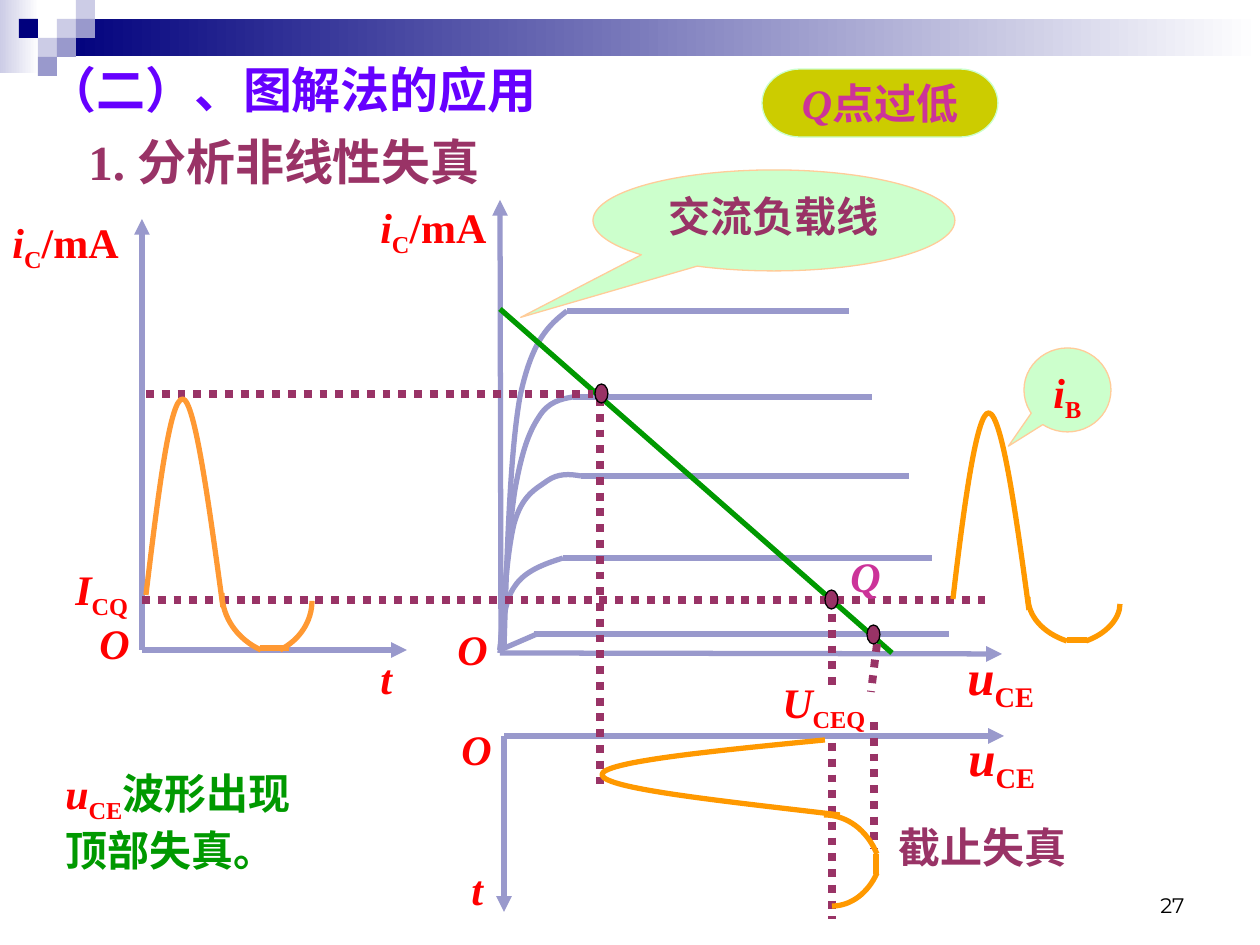
from lxml import etree
from pptx import Presentation
from pptx import util as u
from pptx.dml.color import RGBColor
from pptx.enum import dml, shapes, text
from pptx.oxml import ns

SCALE = 914400 / 126  # EMU in one px
SERIF = "Times New Roman"
WHITE = RGBColor(255, 255, 255)
BLACK = RGBColor(0, 0, 0)
NAVY = RGBColor(0, 0, 0x7D)
BLUE = RGBColor(0x99, 0x99, 0xCC)
PALE = RGBColor(0xCC, 0xCC, 0xE6)
VIOLET = RGBColor(0x66, 0, 0xFF)
PLUM = RGBColor(0x99, 0x33, 0x66)
PINK = RGBColor(0xCC, 0x33, 0x99)
RED = RGBColor(255, 0, 0)
GREEN = RGBColor(0, 0x99, 0)
MINT = RGBColor(0xCC, 0xFF, 0xCC)
PEACH = RGBColor(0xFF, 0xCC, 0x99)
OLIVE = RGBColor(0xCC, 0xCC, 0)
AMBER = RGBColor(0xFF, 0x99, 0)
ORANGE = RGBColor(0xFF, 0x99, 0x33)
KIND = shapes.MSO_SHAPE


def px(*vals):
    return [round(v * SCALE) for v in vals]


def block(slide, kind, box, fill, edge=None):
    """Add a preset shape; a pair of colours as fill makes a gradient."""
    shape = slide.shapes.add_shape(kind, *px(*box))
    shape.shadow.inherit = False
    if isinstance(fill, list):
        shape.fill.gradient()
        shape.fill.gradient_angle = 0
        for stop, color in zip(shape.fill.gradient_stops, fill):
            stop.color.rgb = color
    else:
        shape.fill.solid()
        shape.fill.fore_color.rgb = fill
    if edge is None:
        shape.line.fill.background()
    else:
        shape.line.color.rgb = edge
        shape.line.width = u.Pt(0.75)
    return shape


def line(slide, start, end, color=BLUE, arrow=False, dots=False):
    link = slide.shapes.add_connector(
        shapes.MSO_CONNECTOR.STRAIGHT, *px(*start, *end))
    link.line.color.rgb = color
    link.line.width = u.Pt(4.5 if dots else 3)
    if dots:
        link.line.dash_style = dml.MSO_LINE.ROUND_DOT
    if arrow:
        etree.SubElement(link.line._get_or_add_ln(), ns.qn("a:tailEnd"),
                         type="triangle")
    etree.SubElement(link._element.spPr, ns.qn("a:effectLst"))


def curve(slide, points, color=BLUE):
    """Draw cubic curves: a start, then three points for each segment."""
    pen = slide.shapes.build_freeform(*points[0], scale=SCALE)
    pen.add_line_segments(points[1:], close=False)
    shape = pen.convert_to_shape()
    shape.shadow.inherit = False
    shape.fill.background()
    shape.line.color.rgb = color
    shape.line.width = u.Pt(3)
    steps = shape._element.xpath(".//a:lnTo")
    track = steps[0].getparent()
    for i in range(0, len(steps), 3):
        arc = etree.SubElement(track, ns.qn("a:cubicBezTo"))
        for step in steps[i:i + 3]:
            arc.append(step[0])
            track.remove(step)


def write(shape, var="", sub="", rest="", color=RED, size=24, tail=None,
          align=text.PP_ALIGN.LEFT, anchor=text.MSO_ANCHOR.TOP, wrap=True,
          face=SERIF, bold=True):
    """Write an italic symbol, its subscript and the upright text after it."""
    frame = shape.text_frame
    frame.word_wrap = wrap
    frame.vertical_anchor = anchor
    par = frame.paragraphs[0]
    par.alignment = align
    par.font.name, par.font.size, par.font.bold = face, u.Pt(size), bold
    par.font.color.rgb = color
    if var:
        run = par.add_run()
        run.text = var
        run.font.italic = True
    if sub:
        run = par.add_run()
        run.text = sub
        run.font._element.set("baseline", "-25000")
    for i, row in enumerate(rest.split("\n") if rest else []):
        if i:
            par.add_line_break()
        run = par.add_run()
        run.text = row
        if tail is not None:
            run.font.color.rgb = tail


def label(slide, box, *words, **style):
    write(slide.shapes.add_textbox(*px(*box)), *words, **style)


def banner(slide):
    block(slide, KIND.RECTANGLE, (0, 0, 39, 73), [PALE, WHITE])
    block(slide, KIND.RECTANGLE, (57, 19, 1203, 37), [NAVY, WHITE])
    tiles = [(3, 1, PALE), (4, 0, PALE), (4, 1, BLUE), (2, 2, PALE),
             (1, 1, NAVY), (3, 2, BLUE), (2, 3, BLUE)]
    for col, row, color in tiles:
        block(slide, KIND.RECTANGLE, (19 * col, 19 * row, 19, 19), color)


def family(slide):
    """Draw the output curves of the transistor."""
    bends = [
        [(500, 650), (503, 626), (504, 601), (515, 586),
         (525, 571), (544, 564), (563, 558)],
        [(500, 653), (504, 602), (507, 553), (514, 524), (522, 495),
         (536, 489), (547, 481), (558, 473), (570, 474), (581, 476)],
        [(500, 650), (505, 590), (509, 529), (515, 490), (522, 451),
         (529, 432), (539, 417), (548, 402), (561, 399), (573, 397)],
        [(504, 650), (507, 552), (510, 454), (520, 397),
         (532, 340), (549, 325), (567, 311)],
    ]
    for points, end in zip(bends, (932, 909, 872, 849)):
        curve(slide, points)
        line(slide, points[-1], (end, points[-1][1]))
    line(slide, (500, 650), (537, 634))
    line(slide, (534, 634), (949, 634))


def wave(slide, color, crest, fall, rise, flat):
    """Draw a sine wave whose lower half is cut flat."""
    for points in (crest, fall, rise):
        curve(slide, points, color)
    line(slide, *flat, color)


def axes(slide):
    for start, end in [((500, 653), (1002, 654)), ((501, 653), (500, 200)),
                       ((142, 650), (407, 650)), ((142, 650), (142, 219)),
                       ((504, 736), (1004, 736)), ((504, 736), (504, 912))]:
        line(slide, start, end, arrow=True)
    for x, y in [(368, 195), (0, 210)]:
        label(slide, (x, y, 152, 71), "i", "C", "/mA")
    for x, y in [(445, 617), (87, 611), (449, 717)]:
        label(slide, (x, y, 69, 63), "O")
    for x, y in [(368, 646), (459, 857)]:
        label(slide, (x, y, 57, 63), "t")
    for x, y in [(955, 640), (956, 721)]:
        label(slide, (x, y, 110, 79), "u", "CE", size=28)


def main():
    deck = Presentation()
    deck.slide_width, deck.slide_height = px(1260, 945)
    slide = deck.slides.add_slide(deck.slide_layouts[6])
    banner(slide)
    label(slide, (903, 861, 294, 63), rest="27", color=BLACK, size=12,
          align=text.PP_ALIGN.RIGHT, anchor=text.MSO_ANCHOR.BOTTOM,
          face="Montserrat", bold=False)
    label(slide, (35, 53, 667, 72), rest="（二）、图解法的应用",
          color=VIOLET, size=28)
    label(slide, (76, 125, 567, 72), rest="1. 分析非线性失真",
          color=PLUM, size=28)
    badge = block(slide, KIND.FLOWCHART_TERMINATOR, (762, 69, 236, 68),
                  OLIVE, MINT)
    write(badge, "Q", rest="点过低", color=PINK, wrap=False,
          align=text.PP_ALIGN.CENTER, anchor=text.MSO_ANCHOR.MIDDLE)

    family(slide)
    axes(slide)
    line(slide, (500, 309), (892, 653), GREEN)
    for start, end in [((142, 600), (985, 600)), ((146, 394), (593, 394)),
                       ((600, 398), (600, 790)), ((832, 614), (832, 689)),
                       ((832, 743), (832, 919)), ((877, 644), (871, 692)),
                       ((874, 722), (874, 849))]:
        line(slide, start, end, PLUM, dots=True)
    for x, y in [(595, 384), (825, 590), (867, 625)]:
        block(slide, KIND.OVAL, (x, y, 13, 19), PLUM, BLACK)

    wave(slide, AMBER,
         [(953, 599), (964, 505), (977, 411), (989, 413),
          (1002, 415), (1016, 513), (1029, 610)],
         [(1067, 641), (1043, 633), (1028, 616), (1028, 597)],
         [(1086, 641), (1106, 634), (1120, 619), (1120, 604)],
         [(1067, 640), (1087, 640)])
    wave(slide, AMBER,
         [(825, 740), (713, 751), (601, 762), (602, 775),
          (605, 789), (722, 801), (840, 815)],
         [(877, 854), (867, 830), (847, 815), (824, 815)],
         [(877, 873), (868, 893), (851, 906), (832, 906)],
         [(876, 854), (876, 874)])
    wave(slide, ORANGE,
         [(146, 595), (158, 496), (170, 397), (183, 399),
          (195, 401), (209, 504), (223, 607)],
         [(261, 650), (237, 639), (222, 617), (222, 593)],
         [(280, 650), (300, 640), (312, 621), (312, 601)],
         [(260, 648), (289, 648)])

    label(slide, (838, 544, 67, 63), "Q", color=PINK)
    label(slide, (770, 670, 123, 71), "U", "CEQ")
    label(slide, (63, 557, 86, 71), "I", "CQ")
    label(slide, (886, 815, 278, 63), rest="截止失真", color=PLUM)
    label(slide, (53, 761, 353, 121), "u", "CE", "波形出现\n顶部失真。",
          tail=GREEN)

    notes = [((593, 170, 362, 101), (-0.7, 0.96), ("", "", "交流负载线"), PLUM),
             ((1024, 348, 87, 84), (-0.68, 0.67), ("i", "B"), RED)]
    for box, tip, words, color in notes:
        cloud = block(slide, KIND.OVAL_CALLOUT, box, MINT, PEACH)
        cloud.adjustments[0], cloud.adjustments[1] = tip
        write(cloud, *words, color=color, align=text.PP_ALIGN.CENTER)
    deck.save("out.pptx")


if __name__ == "__main__":
    main()
